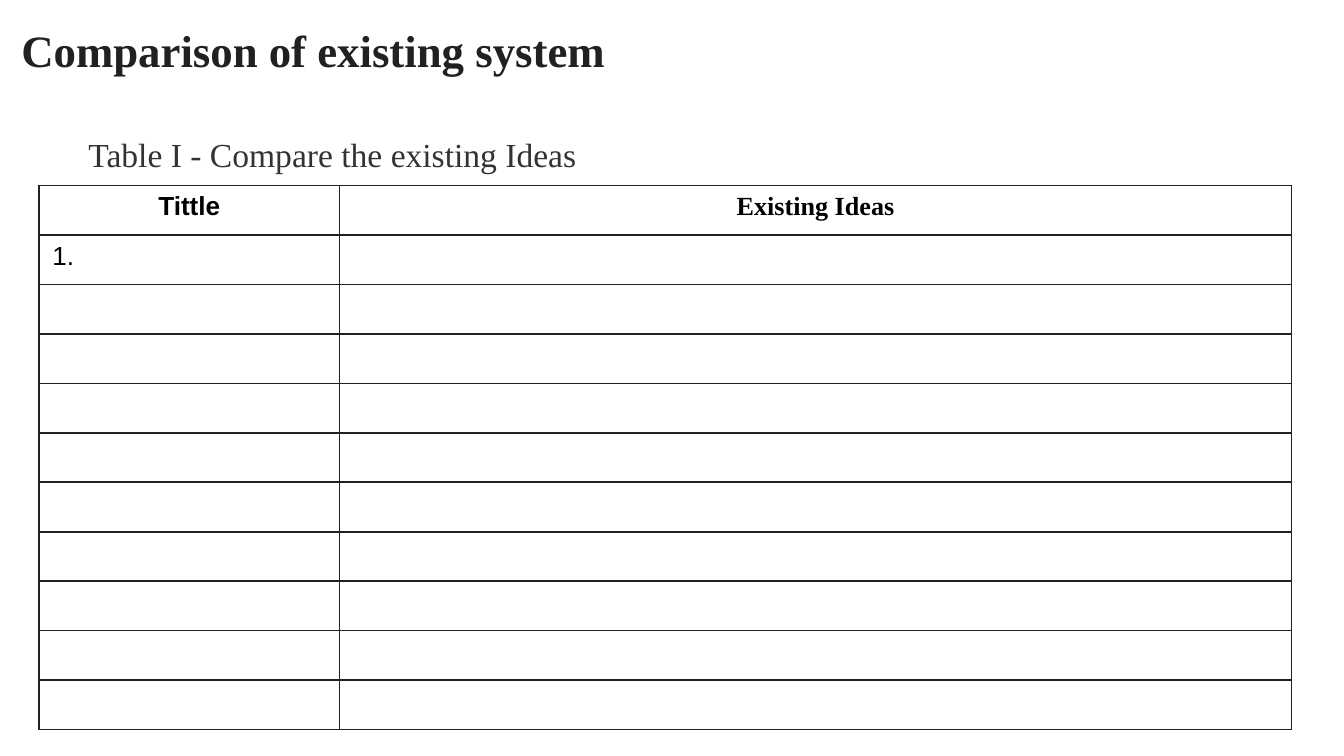
from lxml.etree import SubElement
from pptx import Presentation
from pptx.dml.color import RGBColor
from pptx.enum.text import PP_ALIGN
from pptx.oxml.ns import qn
from pptx.util import Inches, Pt

HUE = {"line": "212121", "title": "212121", "note": "333333", "ink": "000000", "fill": "FFFFFF"}
SERIF, SANS = "Times New Roman", "Arial"


def put(frame, text, size=14, font=SERIF, hue="ink", bold=False, align=PP_ALIGN.LEFT, space=1.0):
    line = frame.paragraphs[0]
    line.alignment, line.line_spacing = align, space
    run = line.add_run()
    run.text = text
    run.font.size, run.font.name, run.font.bold = Pt(size), font, bold
    run.font.color.rgb = RGBColor.from_string(HUE[hue])
    return line


def edge(cell):
    props = cell._tc.get_or_add_tcPr()
    for at, side in enumerate(("lnL", "lnR", "lnT", "lnB")):
        line = props.makeelement(qn(f"a:{side}"), {"w": str(Pt(1))})
        solid = SubElement(line, qn("a:solidFill"))
        SubElement(solid, qn("a:srgbClr"), val=HUE["line"])
        props.insert(at, line)


deck = Presentation()
deck.slide_width, deck.slide_height = Inches(10), Inches(10) * 9 // 16
slide = deck.slides.add_slide(deck.slide_layouts[6])
wide, high = deck.slide_width, deck.slide_height

frames = []
for top, width, height in ((0.07, 9.32, 0.88), (0.85, 9.94, 4.71)):
    box = slide.shapes.add_textbox(Inches(0.06), Inches(top), Inches(width), Inches(height))
    frame = box.text_frame
    frame.word_wrap = True
    frame.margin_left = frame.margin_right = Inches(0.1)
    frame.margin_top = frame.margin_bottom = Inches(0.1)
    frames.append(frame)

put(frames[0], "Comparison of existing system", size=24, hue="title", bold=True)
note = put(frames[1], "Table I - Compare the existing Ideas", size=18, hue="note", space=1.15)
note.space_after = Pt(12)
note._p.get_or_add_pPr().set("marL", str(Inches(0.5)))

rows, shares = 11, (0.24, 0.76)
span, tall = int(wide * 0.932), int(high * 0.72)
grid = slide.shapes.add_table(rows, len(shares), Inches(0.29), Inches(1.38), span, tall).table
grid.first_row = grid.horz_banding = False
for col, share in zip(grid.columns, shares):
    col.width = int(span * share)
for row in grid.rows:
    row.height = tall // rows
    for cell in row.cells:
        cell.fill.solid()
        cell.fill.fore_color.rgb = RGBColor.from_string(HUE["fill"])
        edge(cell)
        SubElement(cell.text_frame.paragraphs[0]._p, qn("a:endParaRPr"), sz="1400")

put(grid.cell(0, 0).text_frame, "Tittle", font=SANS, bold=True, align=PP_ALIGN.CENTER)
put(grid.cell(0, 1).text_frame, "Existing Ideas", bold=True, align=PP_ALIGN.CENTER)
put(grid.cell(1, 0).text_frame, "1.", font=SANS)

deck.save("out.pptx")
